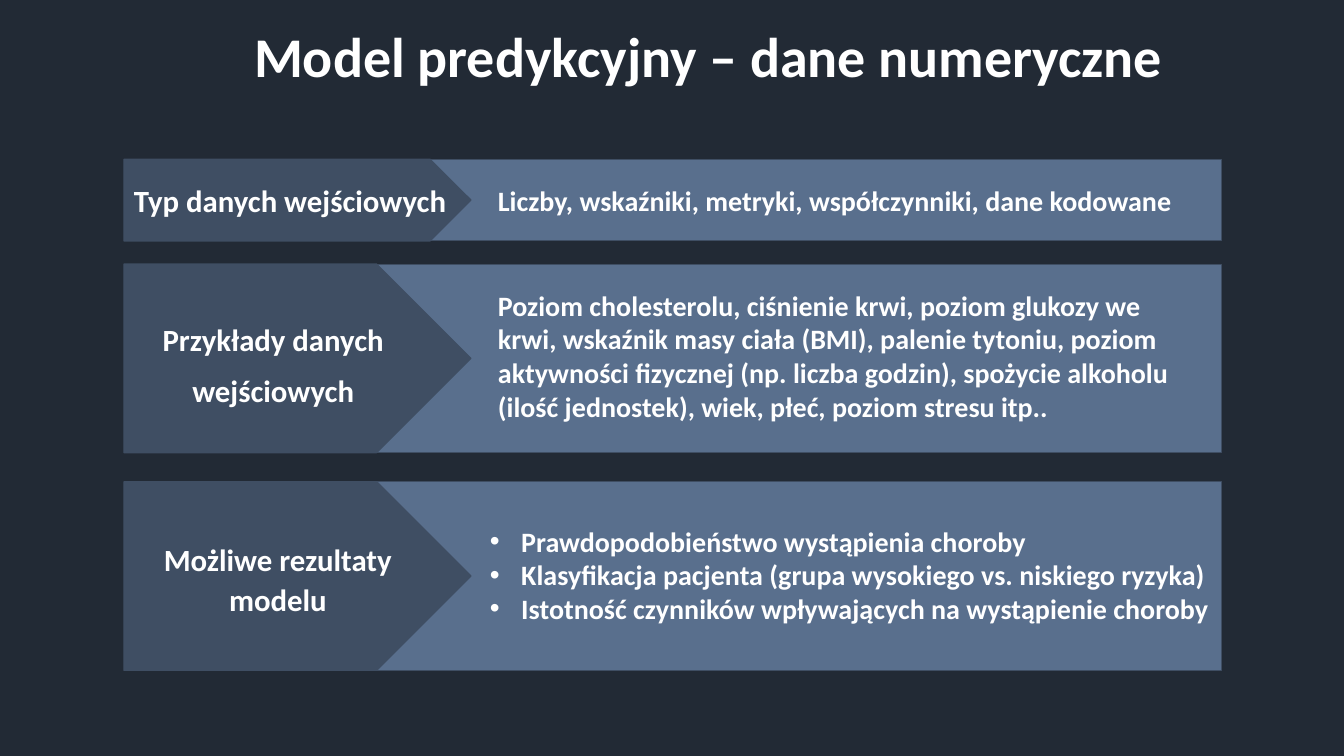
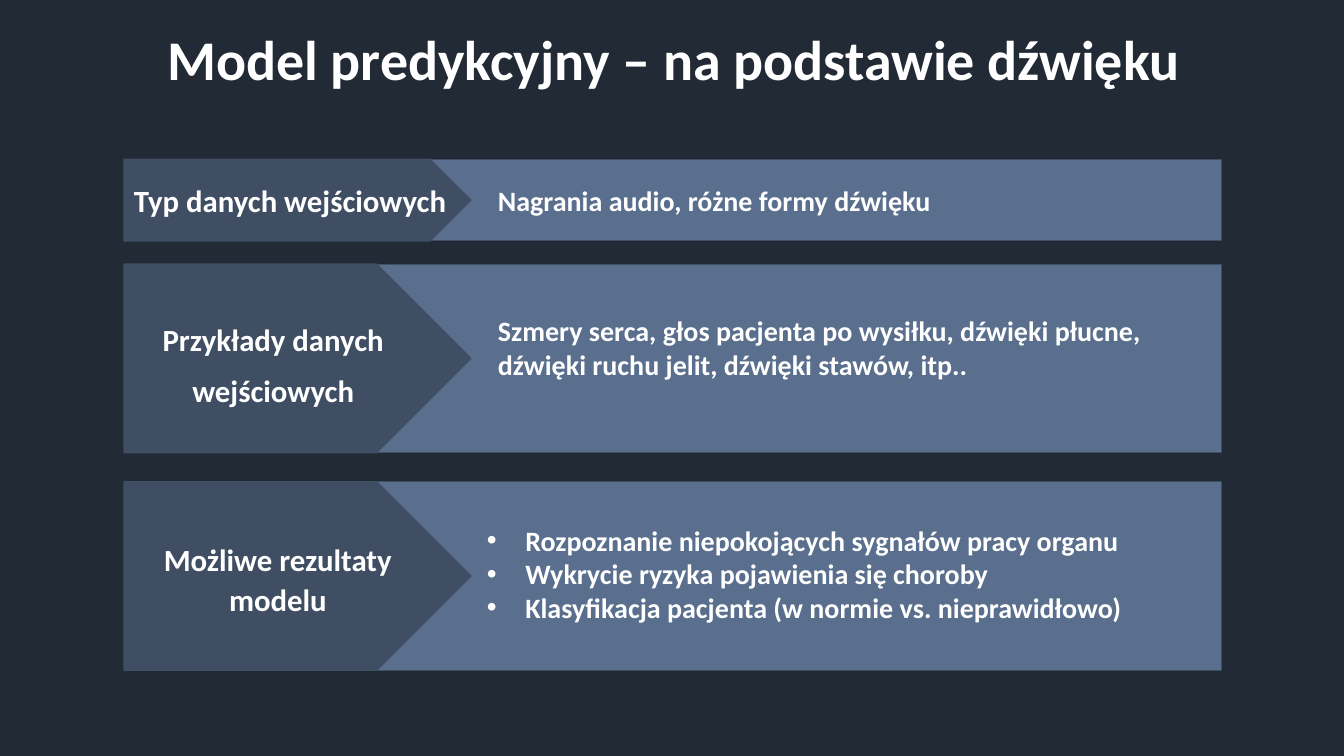
from pptx import Presentation
from pptx import util as u
from pptx.dml.color import RGBColor
from pptx.enum import shapes, text

PX = 9144
FONT = "Calibri"
BACKGROUND, BAND, ARROW, WHITE = "222A35", "596F8D", "3F4E63", "FFFFFF"
BAND_LEFT, BAND_WIDTH, ARROW_WIDTH = 123, 1088, 344
ROWS = [(158, 81), (262, 187), (478, 187)]
LABELS = [
    ((123, 173, 376, 50), ["Typ danych wejściowych"], "left"),
    ((126, 311, 290, 99), ["Przykłady danych", "wejściowych"], "center"),
    ((148, 529, 255, 88), ["Możliwe rezultaty modelu"], "center"),
]
ALIGNMENTS = {"left": text.PP_ALIGN.LEFT, "center": text.PP_ALIGN.CENTER}

SLIDES = [
    {
        "title": "Model predykcyjny – dane numeryczne",
        "title_box": (242, 16, 960, 77),
        "input": "Liczby, wskaźniki, metryki, współczynniki, dane kodowane",
        "examples": "Poziom cholesterolu, ciśnienie krwi, poziom glukozy we krwi, "
                    "wskaźnik masy ciała (BMI), palenie tytoniu, poziom aktywności "
                    "fizycznej (np. liczba godzin), spożycie alkoholu (ilość "
                    "jednostek), wiek, płeć, poziom stresu itp..",
        "examples_box": (484, 281, 701, 145),
        "results": [
            "Prawdopodobieństwo wystąpienia choroby",
            "Klasyfikacja pacjenta (grupa wysokiego vs. niskiego ryzyka)",
            "Istotność czynników wpływających na wystąpienie choroby",
        ],
        "results_box": (476, 515, 740, 141),
        "indent": 31,
    },
    {
        "title": "Model predykcyjny – na podstawie dźwięku",
        "title_box": (156, 19, 1048, 77),
        "input": "Nagrania audio, różne formy dźwięku",
        "examples": "Szmery serca, głos pacjenta po wysiłku, dźwięki płucne, "
                    "dźwięki ruchu jelit, dźwięki stawów, itp..",
        "examples_box": (484, 306, 701, 108),
        "results": [
            "Rozpoznanie niepokojących sygnałów pracy organu",
            "Wykrycie ryzyka pojawienia się choroby",
            "Klasyfikacja pacjenta (w normie vs. nieprawidłowo)",
        ],
        "results_box": (473, 514, 740, 141),
        "indent": 38,
    },
]


def px(value):
    return u.Emu(value * PX)


def color(value):
    return RGBColor.from_string(value)


def place(shape, box):
    shape.left, shape.top, shape.width, shape.height = map(px, box)


def write_text(shape, lines, size=20, align="left", spacing=1.0, after=0, indent=0):
    frame = shape.text_frame
    frame.word_wrap = True
    frame.auto_size = text.MSO_AUTO_SIZE.NONE
    frame.vertical_anchor = text.MSO_ANCHOR.TOP
    for index, line in enumerate(lines):
        paragraph = frame.add_paragraph() if index else frame.paragraphs[0]
        paragraph.text = line
        paragraph.alignment = ALIGNMENTS[align]
        paragraph.line_spacing = spacing
        paragraph.space_before = u.Pt(0)
        paragraph.space_after = u.Pt(after)
        if indent:
            properties = paragraph._p.get_or_add_pPr()
            properties.set("marL", str(px(indent)))
            properties.set("indent", str(-px(indent)))
        font = paragraph.font
        font.name, font.size, font.bold = FONT, u.Pt(size), True
        font.color.rgb = color(WHITE)


def add_text(slide, box, lines, **style):
    write_text(slide.shapes.add_textbox(*map(px, box)), lines, **style)


def add_panel(slide, kind, box, fill, line_width):
    shape = slide.shapes.add_shape(kind, *map(px, box))
    shape.shadow.inherit = False
    shape.fill.solid()
    shape.fill.fore_color.rgb = color(fill)
    shape.line.color.rgb = color(ARROW)
    shape.line.width = u.Pt(line_width)


def add_rows(slide):
    for top, height in ROWS:
        add_panel(slide, shapes.MSO_SHAPE.RECTANGLE,
                  (BAND_LEFT, top, BAND_WIDTH, height), BAND, 0.5)
        add_panel(slide, shapes.MSO_SHAPE.PENTAGON,
                  (BAND_LEFT, top, ARROW_WIDTH, height), ARROW, 1)
    for box, lines, align in LABELS:
        add_text(slide, box, lines, size=22, align=align, spacing=1.07, after=8)


def add_title(slide, content):
    title = slide.shapes.title
    place(title, content["title_box"])
    write_text(title, [content["title"]], size=40)


def add_results(slide, content):
    body = slide.placeholders[1]
    slide.shapes.element.append(body.element)
    place(body, content["results_box"])
    write_text(body, content["results"], indent=content["indent"])


def add_model_slide(presentation, content):
    slide = presentation.slides.add_slide(presentation.slide_layouts[1])
    add_title(slide, content)
    add_rows(slide)
    add_text(slide, (484, 175, 727, 45), [content["input"]], spacing=1.07)
    add_text(slide, content["examples_box"], [content["examples"]])
    add_results(slide, content)


def main():
    presentation = Presentation()
    presentation.slide_width, presentation.slide_height = px(1333), px(750)
    background = presentation.slide_master.background.fill
    background.solid()
    background.fore_color.rgb = color(BACKGROUND)
    for content in SLIDES:
        add_model_slide(presentation, content)
    presentation.save("out.pptx")


if __name__ == "__main__":
    main()
